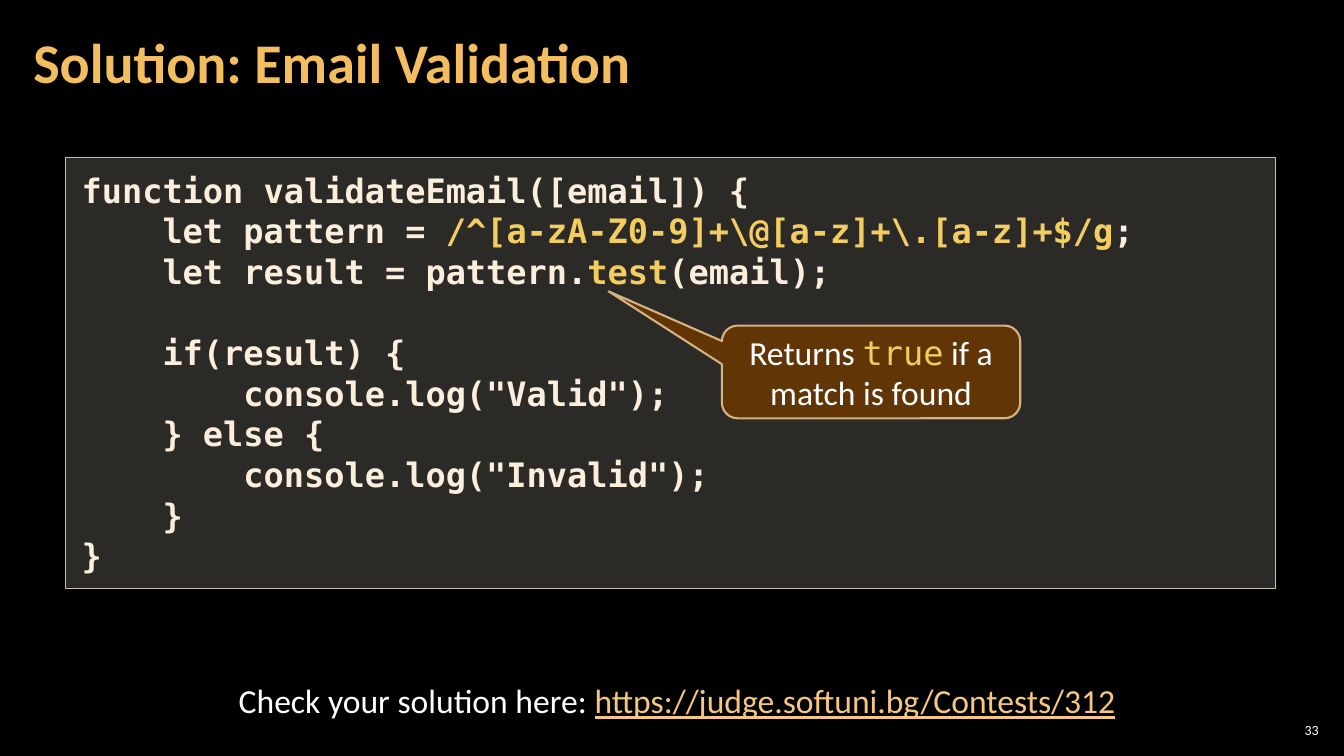
from lxml import etree
from pptx import Presentation
from pptx.dml.color import RGBColor
from pptx.enum import shapes, text
from pptx.oxml.ns import qn
from pptx.util import Inches, Pt

BLACK = RGBColor(0x00, 0x00, 0x00)
WHITE = RGBColor(0xFF, 0xFF, 0xFF)
GOLD = RGBColor(0xF3, 0xBE, 0x60)
YELLOW = RGBColor(0xF3, 0xCD, 0x60)
CREAM = RGBColor(0xFB, 0xEE, 0xDC)
LINK = RGBColor(0xF6, 0xC7, 0x81)
PANEL = RGBColor(0xD9, 0xD5, 0xC7)
EDGE = RGBColor(0xC7, 0xBF, 0xAC)
BROWN = RGBColor(0x66, 0x36, 0x06)
TAN = RGBColor(0xF8, 0xD4, 0x9E)
SANS, MONO = "Calibri", "DejaVu Sans Mono"
MID = text.MSO_ANCHOR.MIDDLE
LEFT, MIDDLE, RIGHT = text.PP_ALIGN.LEFT, text.PP_ALIGN.CENTER, text.PP_ALIGN.RIGHT


def setup(shape, anchor, side, edge):
    frame = shape.text_frame
    frame.word_wrap = True
    frame.vertical_anchor = anchor
    frame.margin_left = frame.margin_right = Inches(side)
    frame.margin_top = frame.margin_bottom = Inches(edge)
    return frame


def write(para, parts, size, align, bold=False):
    para.alignment = align
    para.font.size = Pt(size)
    para.font.bold = bold
    for words, face, color in parts:
        run = para.add_run()
        run.text = words
        run.font.name = face
        run.font.color.rgb = color
        run.font.underline = True if color == LINK else None


deck = Presentation()
deck.slide_width, deck.slide_height = Inches(13.33), Inches(7.5)
slide = deck.slides.add_slide(deck.slide_layouts[5])
slide.background.fill.solid()
slide.background.fill.fore_color.rgb = BLACK

title = slide.shapes.title
title.left, title.top = Inches(0.21), Inches(0.04)
title.width, title.height = Inches(10.47), Inches(1.21)
head = setup(title, MID, 0.12, 0.04).paragraphs[0]
head.line_spacing = 0.9
write(head, [("Solution: Email Validation", SANS, GOLD)], 40, LEFT, True)

panel = slide.shapes.add_shape(
    shapes.MSO_SHAPE.RECTANGLE, Inches(0.65), Inches(1.56), Inches(12), Inches(4.28))
note = slide.shapes.add_shape(
    shapes.MSO_SHAPE.ROUNDED_RECTANGULAR_CALLOUT,
    Inches(7.16), Inches(3.23), Inches(2.96), Inches(0.92))
for i, value in enumerate((-0.88, -0.87, 0.17)):
    note.adjustments[i] = value

for shape, fill, alpha, line, width, clear in (
        (panel, PANEL, 20, EDGE, 1, 100), (note, BROWN, 95, TAN, 1.5, 80)):
    shape.shadow.inherit = False
    shape.fill.solid()
    shape.fill.fore_color.rgb = fill
    shape.line.color.rgb = line
    shape.line.width = Pt(width)
    tints = shape._element.spPr.iter(qn("a:srgbClr"))
    for tint, level in zip(list(tints), (alpha, clear)):
        etree.SubElement(tint, qn("a:alpha")).set("val", str(level * 1000))

code = [
    ["function validateEmail([email]) {"],
    ["    let pattern = ", r"/^[a-zA-Z0-9]+\@[a-z]+\.[a-z]+$/g", ";"],
    ["    let result = pattern.", "test", "(email);"],
    [],
    ["    if(result) {"],
    ['        console.log("Valid");'],
    ["    } else {"],
    ['        console.log("Invalid");'],
    ["    }"],
    ["}"],
]
frame = setup(panel, text.MSO_ANCHOR.TOP, 0.16, 0.12)
for i, row in enumerate(code):
    para = frame.add_paragraph() if i else frame.paragraphs[0]
    para.line_spacing = Pt(29)
    parts = [(words, MONO, color) for words, color in zip(row, (CREAM, YELLOW, CREAM))]
    write(para, parts, 24, LEFT, True)

write(setup(note, MID, 0.1, 0.05).paragraphs[0],
      [("Returns ", SANS, WHITE), ("true", MONO, YELLOW),
       (" if a match is found", SANS, WHITE)], 24, MIDDLE)

check = slide.shapes.add_textbox(Inches(0.94), Inches(6.7), Inches(11.55), Inches(0.5))
write(setup(check, text.MSO_ANCHOR.TOP, 0.1, 0.05).paragraphs[0],
      [("Check your solution here: ", SANS, WHITE),
       ("https://judge.softuni.bg/Contests/312", SANS, LINK)], 24, MIDDLE)

page = slide.shapes.add_textbox(Inches(12.65), Inches(7.14), Inches(0.47), Inches(0.21))
write(setup(page, MID, 0.04, 0.04).paragraphs[0], [("33", SANS, WHITE)], 10, RIGHT)

deck.save("out.pptx")
